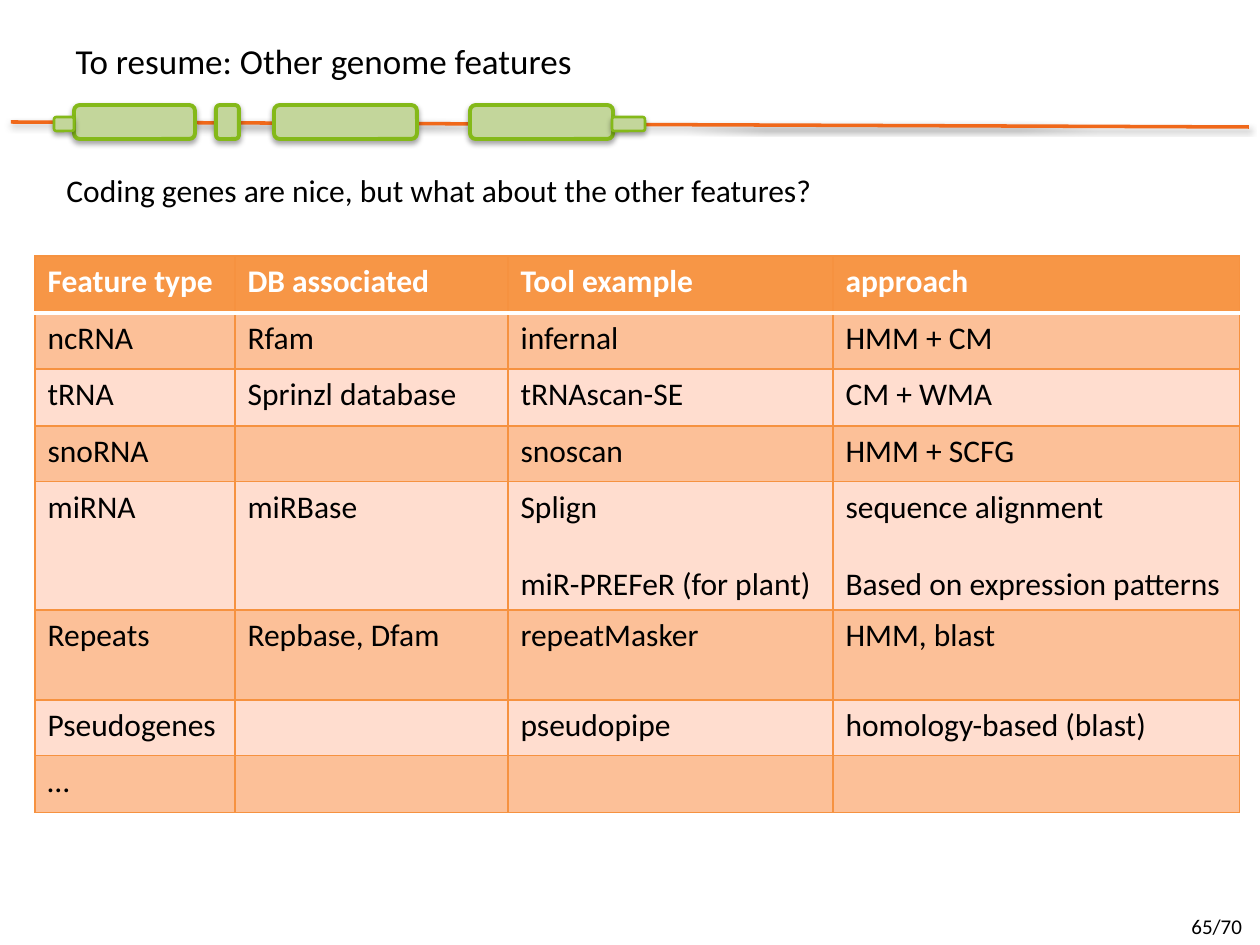
from lxml.etree import SubElement
from pptx import Presentation
from pptx.dml.color import RGBColor as RGB
from pptx.enum.shapes import MSO_CONNECTOR as CONN, MSO_SHAPE as SHAPE
from pptx.enum.text import MSO_ANCHOR as ANCHOR, PP_ALIGN as ALIGN
from pptx.oxml.ns import qn
from pptx.util import Emu, Inches, Pt

COLORS = {
    "text": "000000", "white": "FFFFFF", "strand": "F0681A",
    "exon": "C3D69B", "exon_line": "84B919", "header": "F79646",
    "border": "F69240", "dark_row": "FCC098", "light_row": "FFDDCF",
}


def px(n):
    return Emu(round(n * 914400 / 126))


def color(name):
    return RGB.from_string(COLORS[name])


def add_run(p, text, size=18, name="text", bold=False):
    r = p.add_run()
    r.text = text
    r.font.name = "Calibri"
    r.font.size = Pt(size)
    r.font.bold = bold
    r.font.color.rgb = color(name)


def add_shadow(sp, alpha, dist):
    effects = SubElement(sp._element.spPr, qn("a:effectLst"))
    shadow = SubElement(effects, qn("a:outerShdw"), blurRad=str(Pt(3.1)),
                        dist=str(Pt(dist)), dir="5400000", rotWithShape="0")
    clr = SubElement(shadow, qn("a:srgbClr"), val=COLORS["text"])
    SubElement(clr, qn("a:alpha"), val=str(alpha * 1000))


def add_border(cell, side, name, width):
    ln = SubElement(cell._tc.get_or_add_tcPr(), qn(f"a:ln{side}"), w=str(Pt(width)))
    fill = SubElement(ln, qn("a:solidFill"))
    SubElement(fill, qn("a:srgbClr"), val=COLORS[name])


class SlideBuilder:
    def __init__(self, prs):
        self.s = prs.slides.add_slide(prs.slide_layouts[5])

    def title(self, text, x, y, w, h):
        sp = self.s.shapes.title
        sp.left, sp.top, sp.width, sp.height = map(px, (x, y, w, h))
        tf = sp.text_frame
        tf.vertical_anchor = ANCHOR.MIDDLE
        p = tf.paragraphs[0]
        p.alignment = ALIGN.LEFT
        add_run(p, text, size=20)

    def text(self, text, x, y, w, h, **fmt):
        tf = self.s.shapes.add_textbox(*map(px, (x, y, w, h))).text_frame
        tf.word_wrap = True
        add_run(tf.paragraphs[0], text, **fmt)

    def strand(self, x1, y1, x2, y2):
        ln = self.s.shapes.add_connector(CONN.STRAIGHT, *map(px, (x1, y1, x2, y2)))
        ln.line.color.rgb = color("strand")
        ln.line.width = Pt(2)
        add_shadow(ln, 38, 1.6)

    def exon(self, x, y, w, h, line):
        sp = self.s.shapes.add_shape(SHAPE.ROUNDED_RECTANGLE, *map(px, (x, y, w, h)))
        sp.fill.solid()
        sp.fill.fore_color.rgb = color("exon")
        sp.line.color.rgb = color("exon_line")
        sp.line.width = Pt(line)
        add_shadow(sp, 35, 1.8)

    def table(self, rows, x, y, widths, heights):
        frame = self.s.shapes.add_table(len(rows), len(widths), px(x), px(y),
                                        px(sum(widths)), px(sum(heights)))
        tbl = frame.table
        for col, w in zip(tbl.columns, widths):
            col.width = px(w)
        for i, (row, h) in enumerate(zip(rows, heights)):
            tbl.rows[i].height = px(h)
            for j, text in enumerate(row):
                self.cell(tbl.cell(i, j), text, i)

    def cell(self, cell, text, i):
        for side in "LRTB":
            white = (i, side) in ((0, "B"), (1, "T"))
            add_border(cell, side, "white" if white else "border", 2 if white else 0.75)
        cell.fill.solid()
        fill = "header" if i == 0 else ("light_row", "dark_row")[i % 2]
        cell.fill.fore_color.rgb = color(fill)
        tf = cell.text_frame
        for k, line in enumerate(text.splitlines()):
            p = tf.add_paragraph() if k else tf.paragraphs[0]
            if k:
                p.space_before = Pt(22)
            add_run(p, line, name="text" if i else "white", bold=i == 0)


ROWS = [
    ("Feature type", "DB associated", "Tool example", "approach"),
    ("ncRNA", "Rfam", "infernal", "HMM + CM"),
    ("tRNA", "Sprinzl database", "tRNAscan-SE", "CM + WMA"),
    ("snoRNA", "", "snoscan", "HMM + SCFG"),
    ("miRNA", "miRBase", "Splign\nmiR-PREFeR (for plant)",
     "sequence alignment\nBased on expression patterns"),
    ("Repeats", "Repbase, Dfam", "repeatMasker", "HMM, blast"),
    ("Pseudogenes", "", "pseudopipe", "homology-based (blast)"),
    ("…", "", "", ""),
]


def main():
    prs = Presentation()
    prs.slide_width, prs.slide_height = Inches(10), Inches(7.5)
    b = SlideBuilder(prs)
    b.strand(11, 122, 1249, 127)
    for x, w in ((74, 121), (216, 23), (274, 143), (470, 143)):
        b.exon(x, 105, w, 34, 2.25)
    for x, w in ((612, 33), (54, 20)):
        b.exon(x, 117, w, 14, 1.5)
    b.title("To resume: Other genome features", 63, 30, 595, 61)
    b.table(ROWS, 35, 256, (200, 273, 325, 407), (57, 56, 57, 56, 128, 90, 56, 57))
    b.text("Coding genes are nice, but what about the other features?", 54, 165, 1050, 51)
    b.text("65/70", 1179, 907, 81, 38, size=12)
    prs.save("out.pptx")


if __name__ == "__main__":
    main()
